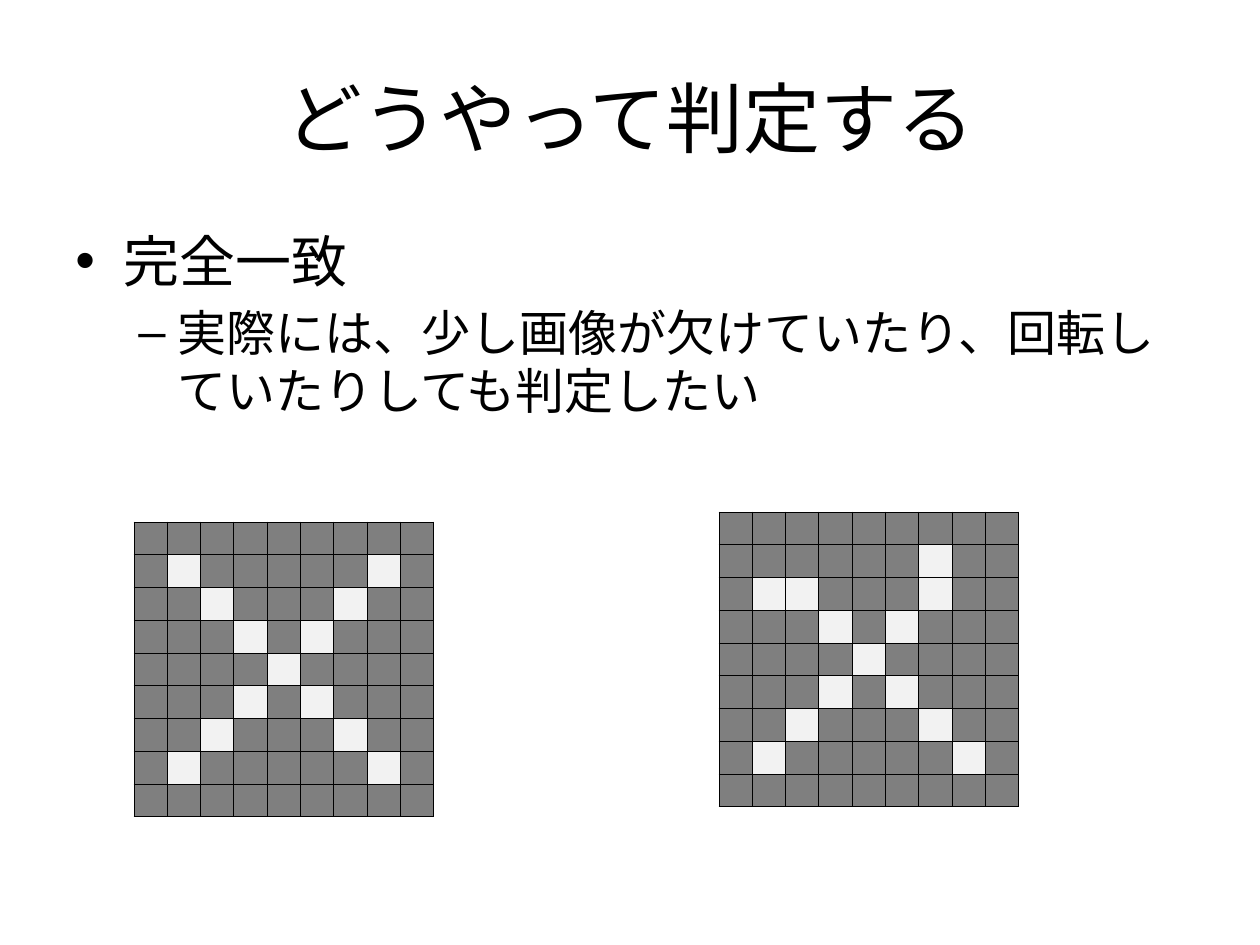
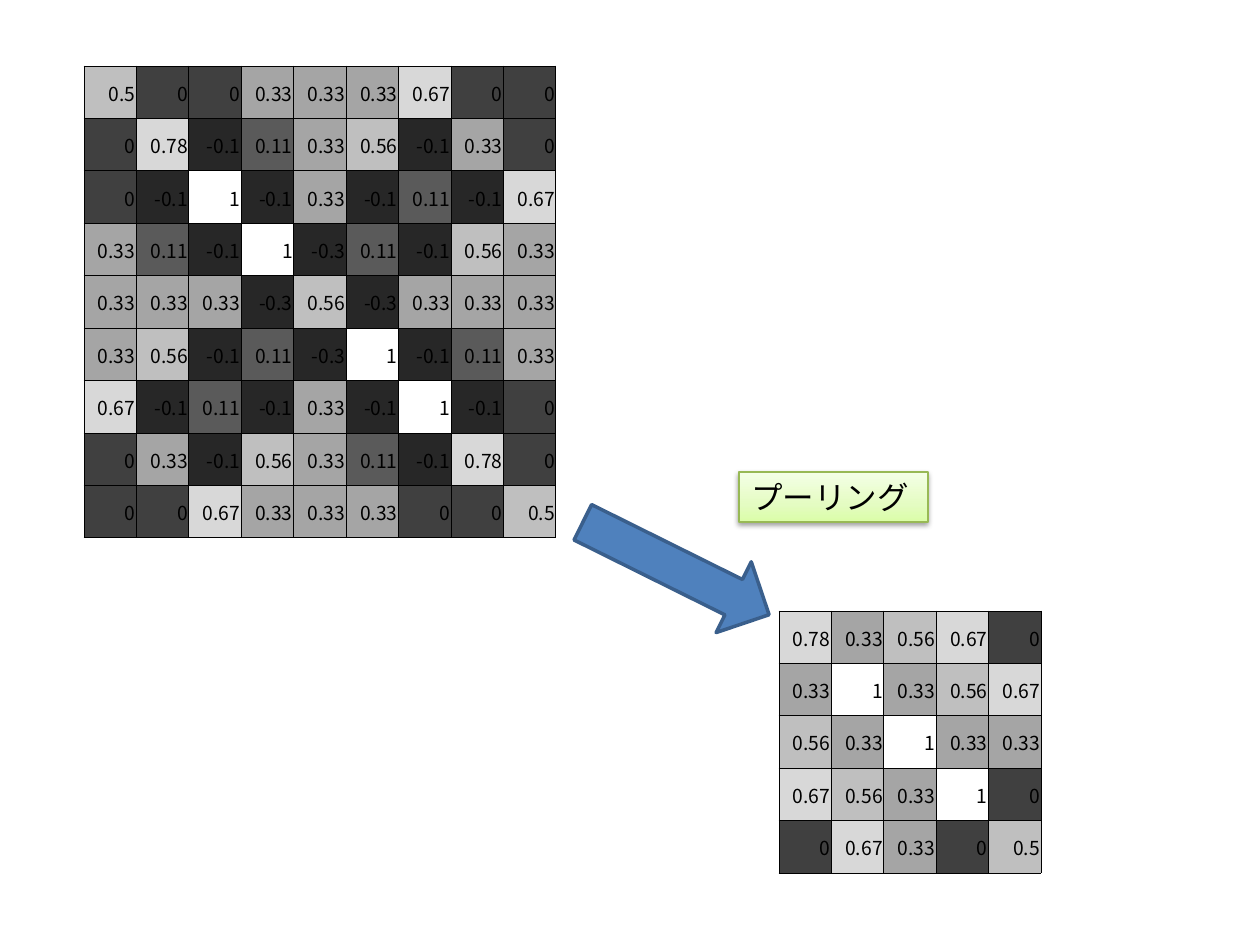
from copy import deepcopy
from typing import NamedTuple, Optional

from lxml.etree import SubElement
from pptx import Presentation
from pptx.dml.color import RGBColor
from pptx.enum.lang import MSO_LANGUAGE_ID as Lang
from pptx.enum.shapes import MSO_SHAPE as Kind
from pptx.enum.text import MSO_ANCHOR as Anchor, PP_ALIGN as Align
from pptx.oxml.ns import qn
from pptx.util import Emu, Pt

SCALE = 914400 / 126
LATIN = "Calibri"
DIGIT = "Noto Sans CJK JP"

BLACK = RGBColor(0x00, 0x00, 0x00)
GRAY = RGBColor(0x7F, 0x7F, 0x7F)
PALE = RGBColor(0xF2, 0xF2, 0xF2)
BLUE = RGBColor(0x4F, 0x81, 0xBD)
NAVY = RGBColor(0x3A, 0x5F, 0x8C)
GREEN = RGBColor(0x98, 0xB9, 0x55)
LIMES = [
    (0, RGBColor(0xDA, 0xFD, 0xA7)),
    (0.35, RGBColor(0xE4, 0xFC, 0xC2)),
    (1, RGBColor(0xF5, 0xFF, 0xE7)),
]
# Upper limit of a value and the shade of its cell
SHADES = [
    (-0.05, RGBColor(0x27, 0x27, 0x27)),
    (0.05, RGBColor(0x40, 0x40, 0x40)),
    (0.2, RGBColor(0x5A, 0x5A, 0x5A)),
    (0.4, RGBColor(0xA5, 0xA5, 0xA5)),
    (0.6, RGBColor(0xBF, 0xBF, 0xBF)),
    (0.9, RGBColor(0xD8, 0xD8, 0xD8)),
]


class Box(NamedTuple):
    x: int
    y: int
    w: int
    h: int

    def emu(self) -> list[Emu]:
        return [px(n) for n in self]


class Cell(NamedTuple):
    fill: Optional[RGBColor]
    text: str = ""


class Item(NamedTuple):
    text: str
    size: int
    mark: str
    left: int
    hang: int


ITEMS = [
    Item("完全一致", 32, "•", 48, 48),
    Item("実際には、少し画像が欠けていたり、回転していたりしても判定したい", 28, "–", 102, 39),
]

CROSS = """
.........
.X.....X.
..X...X..
...X.X...
....X....
...X.X...
..X...X..
.X.....X.
.........
""".split()

BENT = """
.........
......X..
.XX...X..
...X.X...
....X....
...X.X...
..X...X..
.X.....X.
.........
""".split()

SCORES = [
    [0.5, 0, 0, 0.33, 0.33, 0.33, 0.67, 0, 0],
    [0, 0.78, -0.1, 0.11, 0.33, 0.56, -0.1, 0.33, 0],
    [0, -0.1, 1, -0.1, 0.33, -0.1, 0.11, -0.1, 0.67],
    [0.33, 0.11, -0.1, 1, -0.3, 0.11, -0.1, 0.56, 0.33],
    [0.33, 0.33, 0.33, -0.3, 0.56, -0.3, 0.33, 0.33, 0.33],
    [0.33, 0.56, -0.1, 0.11, -0.3, 1, -0.1, 0.11, 0.33],
    [0.67, -0.1, 0.11, -0.1, 0.33, -0.1, 1, -0.1, 0],
    [0, 0.33, -0.1, 0.56, 0.33, 0.11, -0.1, 0.78, 0],
    [0, 0, 0.67, 0.33, 0.33, 0.33, 0, 0, 0.5],
]


def px(n: float) -> Emu:
    return Emu(round(n * SCALE))


def style(para, size: int, face: str = LATIN) -> None:
    for run in para.runs:
        font = run.font
        font.size, font.name = Pt(size), face
        font.color.rgb = BLACK
        font.language_id = Lang.JAPANESE
        SubElement(font._element, qn("a:ea")).set("typeface", face)


def add_title(slide, text: str) -> None:
    frame = slide.shapes.add_textbox(*Box(63, 38, 1134, 158).emu()).text_frame
    frame.word_wrap = True
    frame.vertical_anchor = Anchor.MIDDLE
    frame.text = text
    para = frame.paragraphs[0]
    para.alignment = Align.CENTER
    style(para, 44)


def add_list(slide, box: Box, items: list[Item]) -> None:
    frame = slide.shapes.add_textbox(*box.emu()).text_frame
    frame.word_wrap = True
    frame.text = "\n".join(item.text for item in items)
    for para, item in zip(frame.paragraphs, items):
        style(para, item.size)
        para.space_before = Pt(item.size // 5)
        prop = para._p.get_or_add_pPr()
        prop.set("marL", str(px(item.left)))
        prop.set("indent", str(-px(item.hang)))
        SubElement(prop, qn("a:buFont")).set("typeface", "Arial")
        SubElement(prop, qn("a:buChar")).set("char", item.mark)


def add_edges(cell) -> None:
    prop = cell._tc.get_or_add_tcPr()
    for side in ("lnL", "lnR", "lnT", "lnB"):
        line = SubElement(prop, qn(f"a:{side}"), w=str(Pt(0.5)))
        fill = SubElement(line, qn("a:solidFill"))
        SubElement(fill, qn("a:srgbClr"), val=str(BLACK))


def add_grid(slide, box: Box, rows: list[list[Cell]]) -> None:
    high, wide = len(rows), len(rows[0])
    table = slide.shapes.add_table(high, wide, *box.emu()).table
    table.first_row = table.horz_banding = False
    for col in table.columns:
        col.width = px(box.w / wide)
    for line, row in zip(table.rows, rows):
        line.height = px(box.h / high)
        for cell, data in zip(line.cells, row):
            add_edges(cell)
            cell.margin_left = cell.margin_right = cell.margin_top = px(1)
            cell.margin_bottom = 0
            cell.vertical_anchor = Anchor.MIDDLE
            if data.fill is None:
                cell.fill.background()
            else:
                cell.fill.solid()
                cell.fill.fore_color.rgb = data.fill
            para = cell.text_frame.paragraphs[0]
            para.alignment = Align.RIGHT
            if data.text:
                para.text = data.text
                style(para, 11, DIGIT)
            else:
                SubElement(para._p, qn("a:endParaRPr"), sz="800")


def paint(marks: list[str]) -> list[list[Cell]]:
    return [[Cell(PALE if mark == "X" else GRAY) for mark in row] for row in marks]


def shade(rows: list[list[float]]) -> list[list[Cell]]:
    def tone(num: float) -> Optional[RGBColor]:
        return next((color for top, color in SHADES if num < top), None)

    return [[Cell(tone(num), f"{num:g}") for num in row] for row in rows]


def pool(rows: list[list[float]], step: int = 2) -> list[list[float]]:
    """Keep the largest value of each square block."""
    return [
        [
            max(num for row in rows[y:y + step] for num in row[x:x + step])
            for x in range(0, len(rows[0]), step)
        ]
        for y in range(0, len(rows), step)
    ]


def add_shape(slide, kind: Kind, box: Box, edge: RGBColor, width: float):
    shape = slide.shapes.add_shape(kind, *box.emu())
    shape.shadow.inherit = False
    shape.line.color.rgb = edge
    shape.line.width = Pt(width)
    return shape


def add_arrow(slide, box: Box, turn: float) -> None:
    arrow = add_shape(slide, Kind.RIGHT_ARROW, box, NAVY, 2)
    arrow.fill.solid()
    arrow.fill.fore_color.rgb = BLUE
    arrow.rotation = turn


def add_label(slide, box: Box, text: str) -> None:
    label = add_shape(slide, Kind.RECTANGLE, box, GREEN, 0.75)
    prop = label._element.spPr

    label.fill.gradient()
    label.fill.gradient_angle = 90
    stops = prop.find(".//" + qn("a:gsLst"))
    stops.append(deepcopy(stops[-1]))
    for stop, (place, color) in zip(label.fill.gradient_stops, LIMES):
        stop.position = place
        stop.color.rgb = color

    cast = SubElement(
        prop.find(qn("a:effectLst")), qn("a:outerShdw"),
        blurRad=str(Pt(3.1)), dist=str(Pt(1.6)), dir="5400000", rotWithShape="0",
    )
    tint = SubElement(cast, qn("a:srgbClr"), val=str(BLACK))
    SubElement(tint, qn("a:alpha"), val="38000")

    frame = label.text_frame
    frame.word_wrap = True
    frame.vertical_anchor = Anchor.MIDDLE
    frame.text = text
    frame.paragraphs[0].alignment = Align.LEFT
    style(frame.paragraphs[0], 18)


def main() -> None:
    deck = Presentation()
    deck.slide_width, deck.slide_height = px(1260), px(945)
    blank = deck.slide_layouts[6]

    match = deck.slides.add_slide(blank)
    add_title(match, "どうやって判定する")
    add_list(match, Box(63, 220, 1134, 624), ITEMS)
    add_grid(match, Box(134, 522, 300, 295), paint(CROSS))
    add_grid(match, Box(719, 512, 300, 295), paint(BENT))

    shrink = deck.slides.add_slide(blank)
    add_grid(shrink, Box(84, 66, 472, 472), shade(SCORES))
    add_grid(shrink, Box(779, 611, 262, 262), shade(pool(SCORES)))
    add_arrow(shrink, Box(572, 529, 208, 79), 26.4)
    add_label(shrink, Box(739, 472, 189, 50), "プーリング")

    deck.save("out.pptx")


if __name__ == "__main__":
    main()
